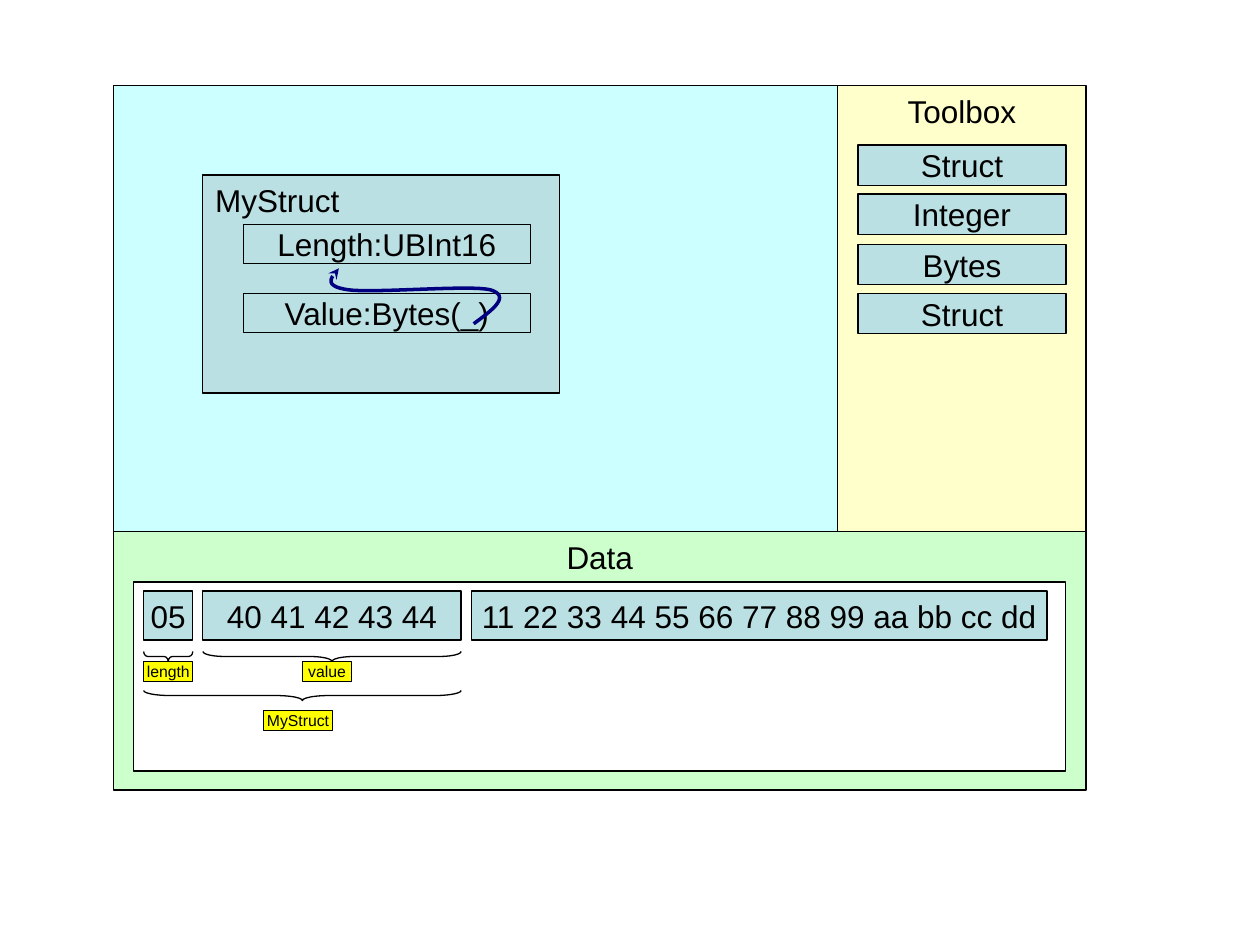
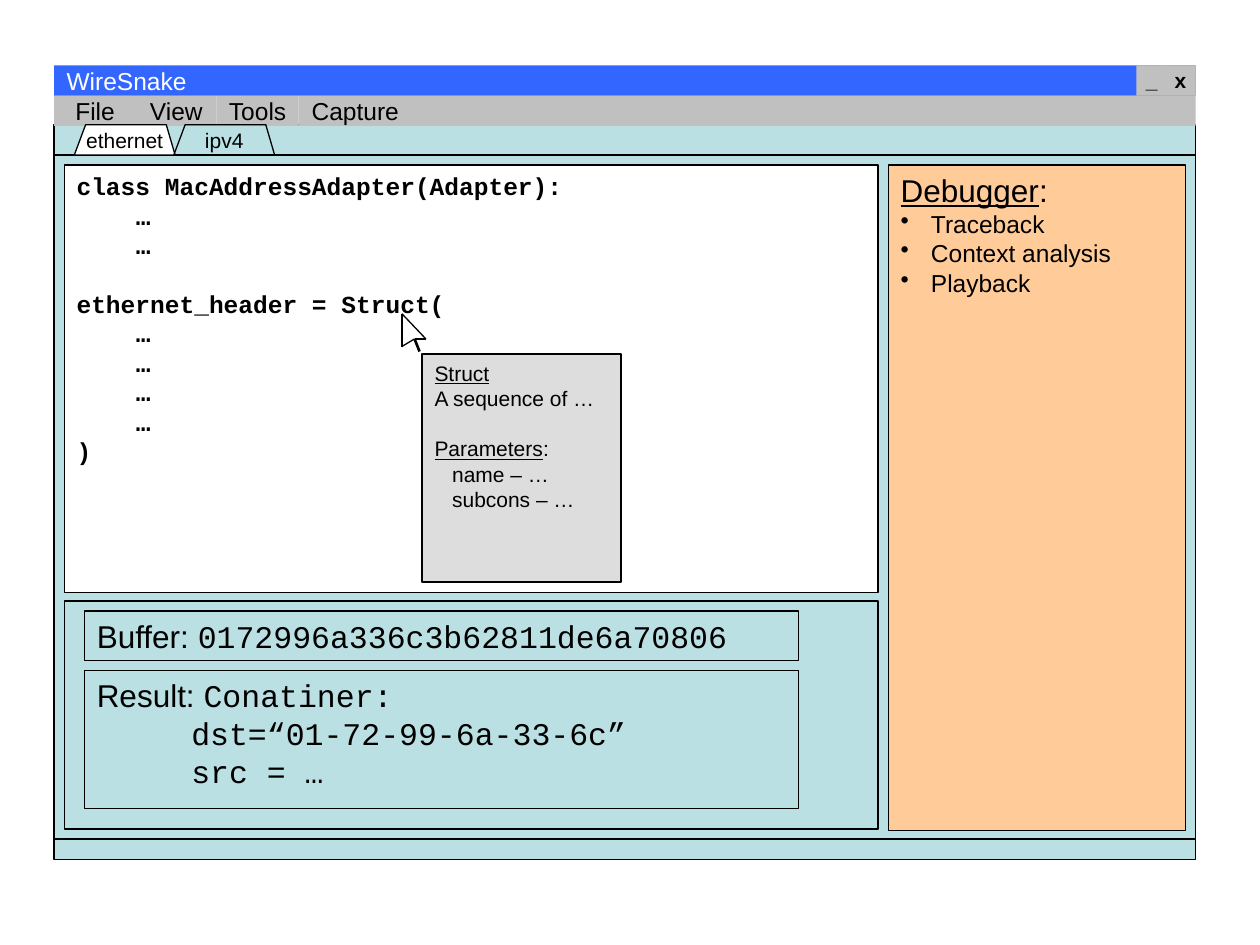
from dataclasses import dataclass

from lxml import etree
from pptx import Presentation
from pptx.dml.color import RGBColor as RGB
from pptx.enum.shapes import MSO_CONNECTOR as CONN, MSO_SHAPE as SHAPE
from pptx.enum.text import MSO_ANCHOR as ANCHOR, PP_ALIGN as ALIGN
from pptx.oxml.ns import qn
from pptx.util import Pt

PX = 9144  # EMU per px, 100 px to the inch


@dataclass(frozen=True)
class Theme:
    sans: str = "Arial"
    mono: str = "Courier New"
    # type sizes
    large: int = 18
    medium: int = 14
    small: int = 12
    tiny: int = 9
    leading: float = 1.2
    # line widths
    hair: float = 0.75
    thick: float = 1.5
    curve: float = 2
    # colours
    ink: str = "000000"
    paper: str = "FFFFFF"
    block: str = "BBE0E3"
    workspace: str = "CCFFFF"
    toolbox: str = "FFFFCC"
    data: str = "CCFFCC"
    label: str = "FFFF00"
    link: str = "000080"
    chrome: str = "C0C0C0"
    title_bar: str = "3366FF"
    tooltip: str = "DDDDDD"
    debugger: str = "FFCC99"


T = Theme()


@dataclass
class Para:
    """Runs are (text, font overrides); lengths are px, gap is in lines."""
    runs: list
    indent: int = 0
    bullet: str = ""
    gap: int = 0


def para(text, **kw):
    return Para([(text, {})], **kw)


def apply(target, values):
    for name, value in values.items():
        setattr(target, name, value)


def bezier(points, steps=16):
    """Points along chained cubic curves."""
    curve = [points[0]]
    for i in range(0, len(points) - 1, 3):
        a, b, c, d = points[i:i + 4]
        for k in range(1, steps + 1):
            t = k / steps
            u = 1 - t
            weights = (u ** 3, 3 * u * u * t, 3 * u * t * t, t ** 3)
            curve.append(tuple(sum(w * p[axis] for w, p in zip(weights, (a, b, c, d)))
                               for axis in (0, 1)))
    return curve


class Drawer:
    def __init__(self, prs):
        self.prs = prs
        self.shapes = None

    def new_slide(self):
        self.shapes = self.prs.slides.add_slide(self.prs.slide_layouts[6]).shapes

    def paint(self, sp, fill=None, line=T.ink, width=T.hair):
        sp.shadow.inherit = False
        if fill:
            sp.fill.solid()
            sp.fill.fore_color.rgb = RGB.from_string(fill)
        else:
            sp.fill.background()
        if line:
            sp.line.color.rgb = RGB.from_string(line)
            sp.line.width = Pt(width)
        else:
            sp.line.fill.background()

    def label(self, sp, text, size=T.large, align=ALIGN.CENTER, anchor=ANCHOR.MIDDLE, **font):
        tf = sp.text_frame
        apply(tf, {"word_wrap": False, "vertical_anchor": anchor})
        paras = [para(text)] if isinstance(text, str) else text
        for i, item in enumerate(paras):
            p = tf.paragraphs[0] if i == 0 else tf.add_paragraph()
            p_size = item.runs[0][1].get("size", size)
            lead = T.leading * p_size
            apply(p, {"alignment": align, "line_spacing": Pt(lead),
                      "space_before": Pt(item.gap * lead)})
            for words, extra in item.runs:
                r = p.add_run()
                r.text = words
                style = {"size": size, "name": T.sans, "color": T.ink, **font, **extra}
                r.font.color.rgb = RGB.from_string(style.pop("color"))
                style["size"] = Pt(style["size"])
                apply(r.font, style)
            if item.indent:
                pPr = p._p.get_or_add_pPr()
                pPr.set("marL", str(item.indent * PX))
                if item.bullet:
                    pPr.set("indent", str(-item.indent * PX))
                    etree.SubElement(pPr, qn("a:buChar")).set("char", item.bullet)

    def box(self, x, y, w, h, fill=T.block, text=None, line=T.ink, **style):
        sp = self.shapes.add_shape(SHAPE.RECTANGLE, x * PX, y * PX, w * PX, h * PX)
        self.paint(sp, fill, line)
        if text:
            self.label(sp, text, **style)
        return sp

    def brace(self, x, y, w, h=8):
        """Brace spanning w, its tip pointing down."""
        left, top = x + (w - h) / 2, y + (h - w) / 2
        sp = self.shapes.add_shape(SHAPE.LEFT_BRACE, round(left * PX), round(top * PX),
                                   h * PX, w * PX)
        sp.rotation = 270
        sp.adjustments[0] = w / 12 / h
        self.paint(sp)

    def outline(self, points, close=True, **look):
        emu = [(round(x * PX), round(y * PX)) for x, y in points]
        builder = self.shapes.build_freeform(*emu[0], scale=1.0)
        builder.add_line_segments(emu[1:], close=close)
        sp = builder.convert_to_shape()
        self.paint(sp, **look)
        return sp

    def curved_arrow(self, points):
        sp = self.outline(bezier(points), close=False, line=T.link, width=T.curve)
        ln = sp._element.spPr.find(qn("a:ln"))
        etree.SubElement(ln, qn("a:tailEnd")).set("type", "stealth")

    def segment(self, shapes, start, end, width=T.hair):
        cx = shapes.add_connector(CONN.STRAIGHT, *(v * PX for v in start + end))
        cx.line.color.rgb = RGB.from_string(T.ink)
        cx.line.width = Pt(width)
        etree.SubElement(cx._element.spPr, qn("a:effectLst"))


def struct_editor(d):
    d.new_slide()
    # Panes
    d.box(90, 68, 575, 354, T.workspace)
    d.box(90, 422, 772, 205, T.data, "Data", anchor=ANCHOR.TOP)
    d.box(665, 68, 197, 354, T.toolbox, "Toolbox", anchor=ANCHOR.TOP)

    # Struct with its fields, value linked back to length
    d.box(161, 139, 283, 173, text="MyStruct", align=ALIGN.LEFT, anchor=ANCHOR.TOP)
    for y, field in ((178, "Length:UBInt16"), (233, "Value:Bytes(_)")):
        d.box(193, y, 228, 31, text=field)
    d.curved_arrow([(376, 257), (391, 246), (406, 235), (389, 230), (372, 226),
                    (296, 233), (276, 230), (256, 227), (263, 220), (269, 213)])

    # Toolbox items
    for i, tool in enumerate(("Struct", "Integer", "Bytes", "Struct")):
        d.box(681, round(115 + 39.4 * i), 165, 32, text=tool)

    # Data bytes
    d.box(106, 462, 740, 150, T.paper)
    for x, w, data in ((114, 39, "05"), (161, 205, "40 41 42 43 44"),
                       (374, 457, "11 22 33 44 55 66 77 88 99 aa bb cc dd")):
        d.box(x, 469, w, 39, text=data)

    # Braces and their labels
    for x, y, w in ((161, 517, 205), (114, 517, 39), (114, 548, 252)):
        d.brace(x, y, w)
    for x, y, w, name in ((114, 525, 39, "length"), (240, 525, 39, "value"),
                          (209, 564, 55, "MyStruct")):
        d.box(x, y, w, 16, T.label, name, size=T.tiny)


def debugger_window(d):
    d.new_slide()
    top_left = {"align": ALIGN.LEFT, "anchor": ANCHOR.TOP}
    under = {"underline": True}
    mono = {"name": T.mono}

    # Window frame, menu and title bar
    d.box(43, 99, 906, 583)
    x = 43
    for name, w in (("File", 65), ("View", 64), ("Tools", 65), ("Capture", 90), (None, 622)):
        d.box(x, 76, w, 24, T.chrome, name, line=None, size=T.medium)
        x += w
    d.box(43, 52, 906, 24, T.title_bar, "WireSnake", line=None, size=T.medium,
          align=ALIGN.LEFT, color=T.paper)
    for x, sign in ((925, "x"), (902, "_")):
        d.box(x, 52, 24, 24, T.chrome, sign, line=None, size=T.small, bold=True)

    # Body and tabs
    d.box(43, 123, 906, 543)
    for x, name, fill in ((59, "ethernet", T.paper), (138, "ipv4", None)):
        tab = d.outline([(x + 9, 99), (x + 73, 99), (x + 80, 123), (x, 123)], fill=fill)
        d.label(tab, name, size=T.small)

    # Code pane
    d.box(51, 477, 646, 181)
    dots = para("…", indent=47)
    d.box(51, 131, 646, 339, T.paper,
          [para("class MacAddressAdapter(Adapter):"), dots, dots,
           para("ethernet_header = Struct(", gap=1), *[dots] * 4, para(")")],
          size=T.medium, bold=True, **mono, **top_left)

    # Tooltip
    d.box(335, 281, 158, 181, T.tooltip,
          [Para([("Struct", under)]), para("A sequence of …"),
           Para([("Parameters", under), (":", {})], gap=1),
           para("name – …", indent=14), para("subcons – …", indent=14)],
          size=T.small, **top_left)

    # Mouse pointer
    pointer = d.shapes.add_group_shape().shapes
    tip, heel, notch, wing = (319, 249), (319, 275), (329, 269), (338, 269)
    for start, end in ((tip, heel), (tip, wing), (heel, notch), (notch, wing)):
        d.segment(pointer, start, end)
    d.segment(pointer, notch, (333, 279), T.thick)

    # Buffer and result
    d.box(67, 485, 567, 39, align=ALIGN.LEFT,
          text=[Para([("Buffer: ", {}), ("0172996a336c3b62811de6a70806", mono)])])
    d.box(67, 532, 567, 110, **top_left,
          text=[Para([("Result: ", {}), ("Conatiner:", mono)]),
                Para([("dst=“01-72-99-6a-33-6c”", mono)], indent=75),
                Para([("src = …", mono)], indent=75)])

    # Debugger pane
    features = [Para([(name, {"size": T.medium})], indent=24, bullet="•")
                for name in ("Traceback", "Context analysis", "Playback")]
    d.box(705, 131, 236, 528, T.debugger,
          [Para([("Debugger", under), (":", {})]), *features], **top_left)


def main():
    prs = Presentation()
    apply(prs, {"slide_width": 1000 * PX, "slide_height": 750 * PX})
    d = Drawer(prs)
    struct_editor(d)
    debugger_window(d)
    prs.save("out.pptx")


if __name__ == "__main__":
    main()
